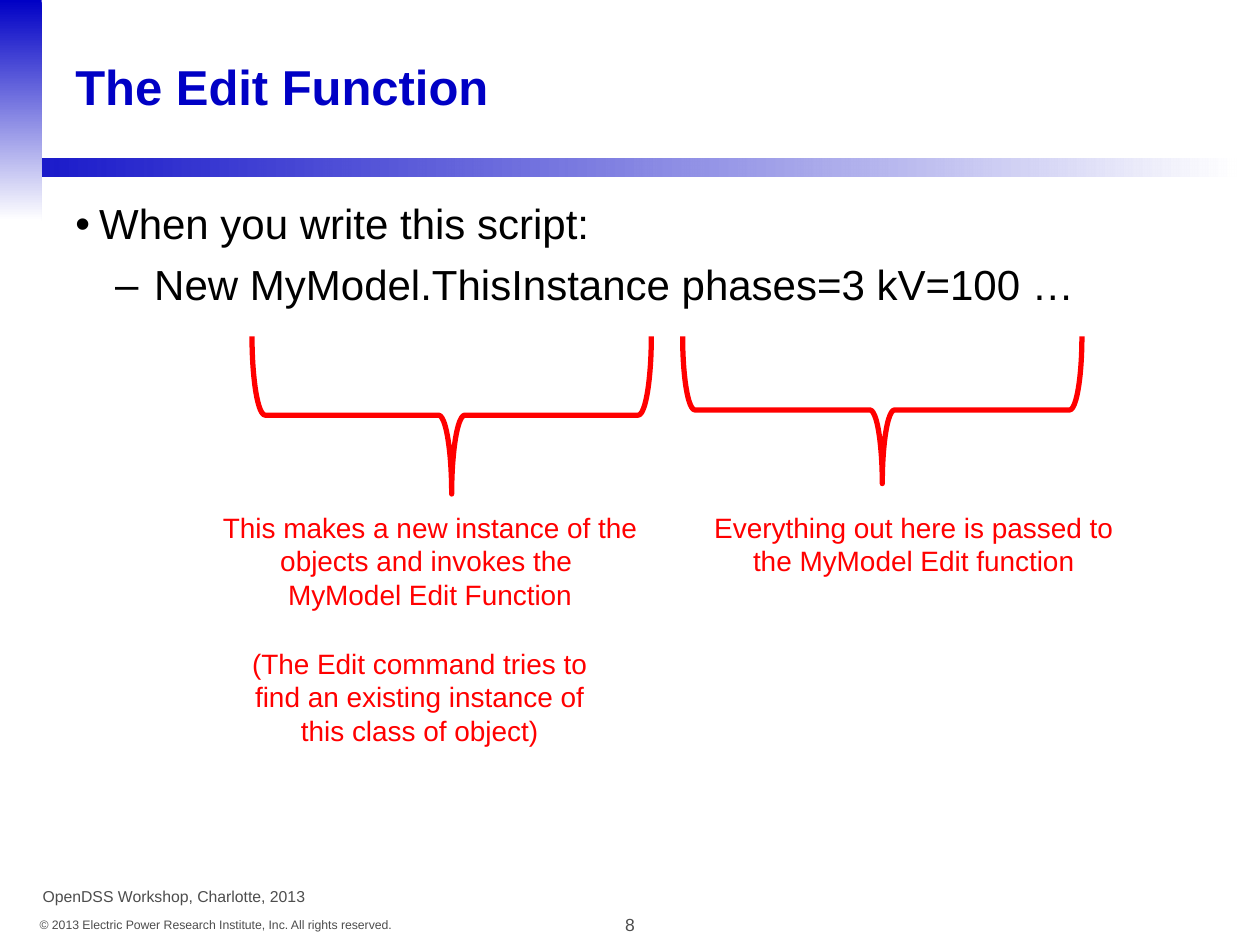
from dataclasses import dataclass

from lxml import etree
from pptx import Presentation
from pptx import util as u
from pptx.dml.color import RGBColor
from pptx.enum import shapes, text
from pptx.oxml import ns

Cm, Pt = u.Cm, u.Pt
BLUE = RGBColor(0x00, 0x00, 0xC5)
WHITE = RGBColor(0xFF, 0xFF, 0xFF)
BLACK = RGBColor(0x00, 0x00, 0x00)
GREY = RGBColor(0x4D, 0x4D, 0x4D)
RED = RGBColor(0xFF, 0x00, 0x00)
FONT = "Arial"
LEFT, CENTER, RIGHT = text.PP_ALIGN.LEFT, text.PP_ALIGN.CENTER, text.PP_ALIGN.RIGHT


@dataclass
class Area:
    """A rectangle in centimetres."""
    left: float
    top: float
    width: float
    height: float

    def lengths(self) -> tuple:
        return Cm(self.left), Cm(self.top), Cm(self.width), Cm(self.height)


@dataclass
class Label:
    words: str
    area: Area
    size: float
    color: RGBColor
    align: text.PP_ALIGN = CENTER
    wrap: bool = True


@dataclass
class Bullet:
    words: str
    mark: str
    level: int
    margin: float
    hanging: float


@dataclass
class Brace:
    """A brace opening upwards, with its visible extent."""
    left: float
    depth: float
    top: float = 6.78
    span: float = 8.05


LABELS = [
    Label("8", Area(11.86, 18.31, 1.68, 0.69), 10, GREY),
    Label("© 2013 Electric Power Research Institute, Inc. All rights reserved.",
          Area(0.53, 18.36, 7.62, 0.56), 7, GREY, RIGHT, wrap=False),
    Label("OpenDSS Workshop, Charlotte, 2013",
          Area(0.61, 17.75, 7.44, 0.64), 9, GREY, LEFT),
    Label("This makes a new instance of the objects and invokes the \vMyModel Edit Function",
          Area(4.01, 10.16, 9.32, 2.29), 16, RED),
    Label("Everything out here is passed to the MyModel Edit function",
          Area(13.76, 10.16, 9.32, 1.63), 16, RED),
    Label("(The Edit command tries to find an existing instance of this class of object)",
          Area(4.65, 12.9, 7.62, 2.29), 16, RED),
]
BULLETS = [
    Bullet("When you write this script:", "•", 0, 0.48, 0.48),
    Bullet("New MyModel.ThisInstance phases=3 kV=100 …", "–", 1, 1.59, 0.79),
]
BRACES = [Brace(5.08, 3.18), Brace(13.76, 2.97)]


def set_font(para, size: float, color: RGBColor, bold: bool = False) -> None:
    font = para.font
    font.name, font.size, font.bold = FONT, Pt(size), bold
    font.color.rgb = color


def add_band(page, area: Area, angle: float, opacity: int = 100) -> None:
    """Add a rectangle fading from blue, at the given opacity, to white."""
    band = page.shapes.add_shape(shapes.MSO_SHAPE.RECTANGLE, *area.lengths())
    band.shadow.inherit = False
    band.line.fill.background()
    band.fill.gradient()
    band.fill.gradient_angle = angle
    for stop, color in zip(band.fill.gradient_stops, (BLUE, WHITE)):
        stop.color.rgb = color
    if opacity < 100:
        start = next(band._element.iter(ns.qn("a:srgbClr")))
        etree.SubElement(start, ns.qn("a:alpha"), val=str(opacity * 1000))


def add_frame(page, area: Area, wrap: bool = True):
    frame = page.shapes.add_textbox(*area.lengths()).text_frame
    frame.word_wrap = wrap
    return frame


def add_label(page, label: Label) -> None:
    frame = add_frame(page, label.area, label.wrap)
    frame.auto_size = text.MSO_AUTO_SIZE.SHAPE_TO_FIT_TEXT
    para = frame.paragraphs[0]
    para.text, para.alignment = label.words, label.align
    set_font(para, label.size, label.color)


def add_title(page, words: str) -> None:
    frame = add_frame(page, Area(1.27, 0.51, 22.86, 2.54))
    frame.vertical_anchor = text.MSO_ANCHOR.MIDDLE
    para = frame.paragraphs[0]
    para.text, para.line_spacing = words, 0.95
    set_font(para, 28, BLUE, bold=True)


def add_bullets(page, bullets: list[Bullet]) -> None:
    frame = add_frame(page, Area(1.27, 3.94, 22.86, 2.84))
    for index, bullet in enumerate(bullets):
        para = frame.add_paragraph() if index else frame.paragraphs[0]
        para.text, para.level = bullet.words, bullet.level
        para.line_spacing, para.space_after = 0.95, Pt(7.5)
        props = para._p.get_or_add_pPr()
        props.set("marL", str(Cm(bullet.margin)))
        props.set("indent", str(-Cm(bullet.hanging)))
        tint = etree.SubElement(props, ns.qn("a:buClr"))
        etree.SubElement(tint, ns.qn("a:srgbClr"), val=str(BLACK))
        etree.SubElement(props, ns.qn("a:buFont"), typeface=FONT)
        etree.SubElement(props, ns.qn("a:buChar"), char=bullet.mark)
        set_font(para, 24, BLACK)


def add_brace(page, brace: Brace) -> None:
    """Add a right brace turned so that its tip points down."""
    shift = (brace.span - brace.depth) / 2
    area = Area(brace.left + shift, brace.top - shift, brace.depth, brace.span)
    shape = page.shapes.add_shape(shapes.MSO_SHAPE.RIGHT_BRACE, *area.lengths())
    shape.rotation = 90
    shape.shadow.inherit = False
    shape.fill.background()
    shape.line.color.rgb, shape.line.width = RED, Pt(3)


def main() -> None:
    deck = Presentation()
    deck.slide_width, deck.slide_height = Cm(25.4), Cm(19.05)
    page = deck.slides.add_slide(deck.slide_layouts[6])
    add_band(page, Area(0.64, 3.2, 24.28, 0.36), angle=0, opacity=90)
    add_band(page, Area(0, 0, 0.84, 4.45), angle=270)
    add_title(page, "The Edit Function")
    add_bullets(page, BULLETS)
    for brace in BRACES:
        add_brace(page, brace)
    for label in LABELS:
        add_label(page, label)
    deck.save("out.pptx")


if __name__ == "__main__":
    main()
